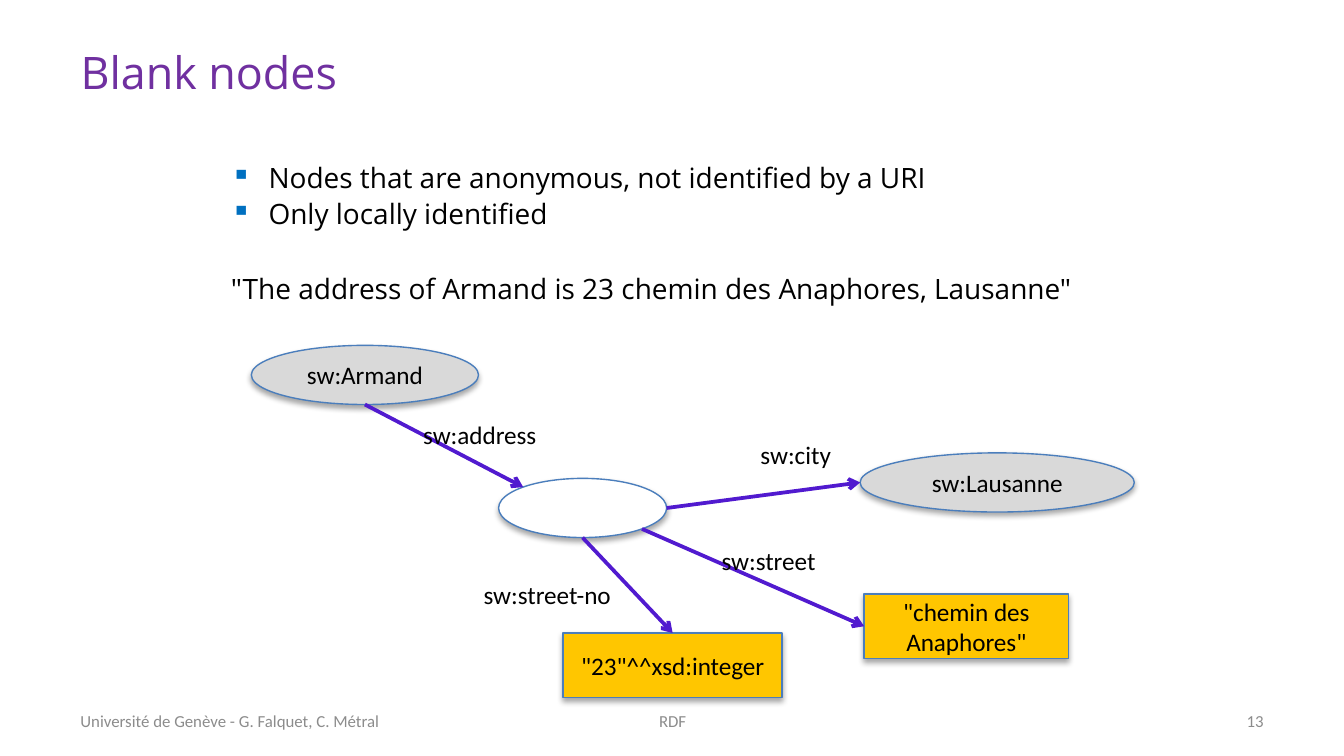
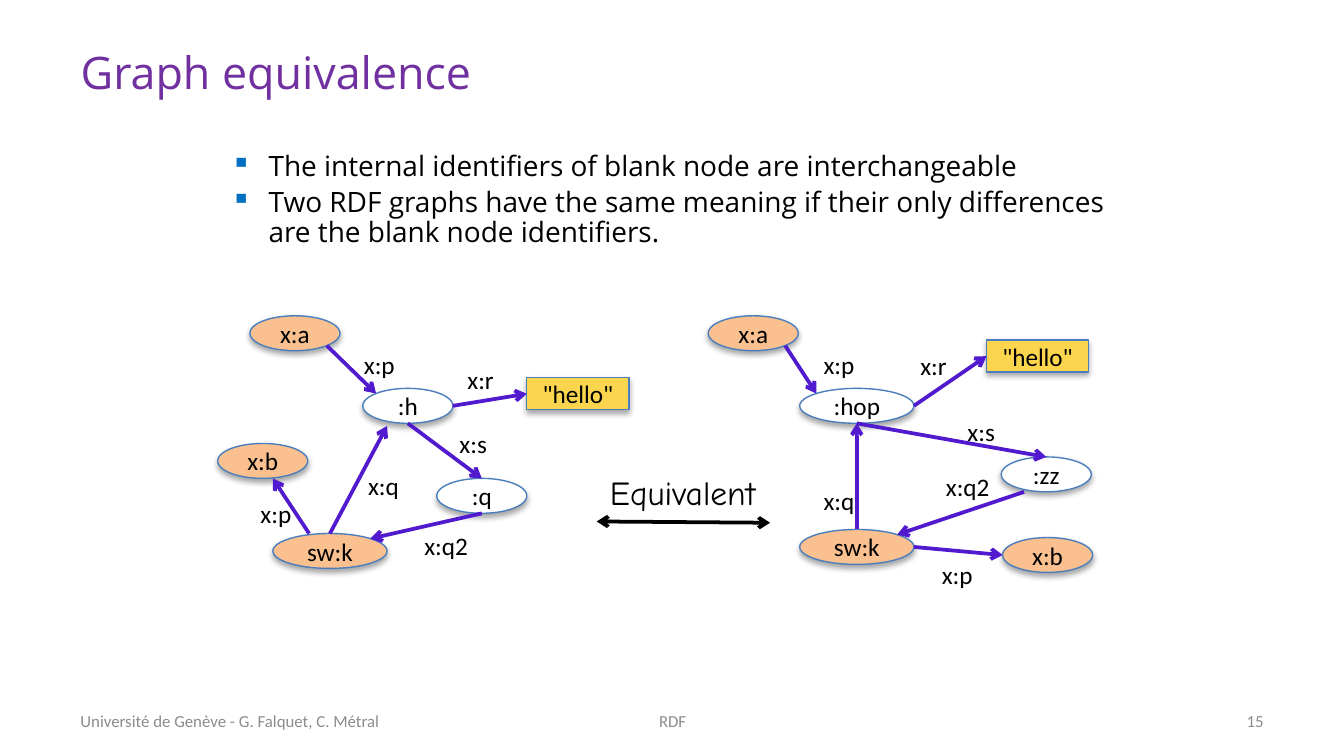
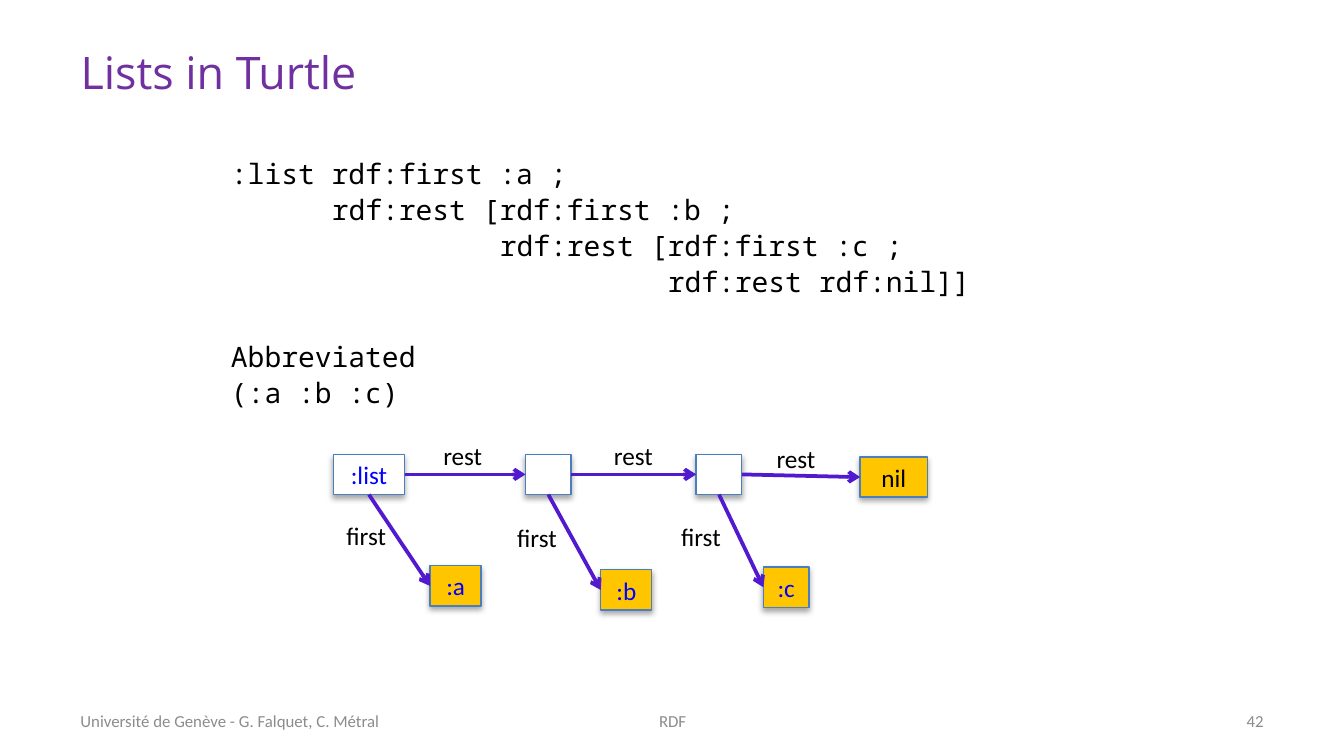
from dataclasses import dataclass
from math import sqrt

from lxml.etree import SubElement
from pptx import Presentation
from pptx.dml.color import RGBColor
from pptx.enum.shapes import MSO_CONNECTOR as Connector, MSO_SHAPE as Preset
from pptx.enum.text import MSO_ANCHOR as Anchor, MSO_AUTO_SIZE as AutoSize, PP_ALIGN as Align
from pptx.oxml.ns import qn
from pptx.util import Inches, Pt


@dataclass(frozen=True)
class Theme:
    # Colours
    title: str = "7030A0"
    ink: str = "000000"
    footer: str = "8C8C8C"
    bullet: str = "0070C0"
    outline: str = "4B7EBC"
    edge: str = "511ACF"
    white: str = "FFFFFF"
    grey: str = "D9D9D9"
    peach: str = "FAC090"
    yellow: str = "FBD54D"
    gold: str = "FFC600"
    blue: str = "0000FF"
    # Fonts
    text_font: str = "Open Sans"
    code_font: str = "Noto Sans Mono"
    graph_font: str = "Calibri"
    hand_font: str = "Comic Neue"
    # Type sizes in points
    title_size: float = 24
    body_size: float = 15
    graph_size: float = 13.5
    hand_size: float = 18
    footer_size: float = 9


THEME = Theme()

# The slide is a grid of square cells
COLUMNS, ROWS = 100, 56.25
CELL = Inches(0.1)
CODE_CHARACTER = Pt(9)
BULLET_INDENT = Inches(0.28)
LINE_GAP, BLOCK_GAP = 3, 24

# Attachment sites: share of width, share of height, index on an ellipse, on a rectangle
NEAR, FAR = 0.5 - sqrt(0.5) / 2, 0.5 + sqrt(0.5) / 2
SITES = {
    "top": (0.5, 0, 0, 0),
    "top left": (NEAR, NEAR, 1, None),
    "left": (0, 0.5, 2, 1),
    "bottom": (0.5, 1, 4, 2),
    "bottom right": (FAR, FAR, 5, None),
    "right": (1, 0.5, 6, 3),
    "top right": (FAR, NEAR, 7, None),
}


def cells(*counts):
    return [round(count * CELL) for count in counts]


def color(value):
    return RGBColor.from_string(value)


def put_text(frame, text, *, size, font, ink=THEME.ink, align=Align.LEFT, anchor=Anchor.MIDDLE,
             wrap=True, before=0, spacing=None, indent=0, bullet=None):
    """Fill the frame's first paragraph, or add one to a frame that has text."""
    frame.word_wrap = wrap
    frame.vertical_anchor = anchor
    paragraph = frame.add_paragraph() if frame.text else frame.paragraphs[0]
    paragraph.alignment = align
    paragraph.space_before = Pt(before)
    if spacing:
        paragraph.line_spacing = spacing
    run = paragraph.add_run()
    run.text = text
    run.font.size, run.font.name = Pt(size), font
    run.font.color.rgb = color(ink)

    properties = paragraph._p.get_or_add_pPr()
    properties.set("marL", str(int(indent)))
    properties.set("indent", str(-int(indent) if bullet else 0))
    if bullet:
        bullet_color = SubElement(properties, qn("a:buClr"))
        SubElement(bullet_color, qn("a:srgbClr"), val=THEME.bullet)
        SubElement(properties, qn("a:buChar"), char=bullet)


# Slide frame: title, body and footer
def add_slide(presentation, title, number):
    slide = presentation.slides.add_slide(presentation.slide_layouts[5])
    shape = slide.shapes.title
    shape.left, shape.top, shape.width, shape.height = cells(5, 2.3, 90, 6)
    put_text(shape.text_frame, title, size=THEME.title_size, font=THEME.text_font, ink=THEME.title)

    footers = (
        (5, 29.2, "Université de Genève - G. Falquet, C. Métral", Align.LEFT),
        (34.2, 31.7, "RDF", Align.CENTER),
        (71.7, 23.3, str(number), Align.RIGHT),
    )
    for left, width, text, align in footers:
        box = slide.shapes.add_textbox(*cells(left, 52.1, width, 3))
        put_text(box.text_frame, text, size=THEME.footer_size, font=THEME.graph_font,
                 ink=THEME.footer, align=align)
    return slide


def add_body(slide, height, lines, font=THEME.text_font):
    """Each line is a text and the format that sets it apart."""
    box = slide.shapes.add_textbox(*cells(16.2, 10.2, 67.5, height))
    for text, options in lines:
        put_text(box.text_frame, text, size=THEME.body_size, font=font,
                 **{"before": LINE_GAP, "spacing": 0.9, **options})


# Graph parts: nodes, edges and labels
def add_node(slide, text, left, top, width, height, fill=THEME.white,
             preset=Preset.OVAL, ink=THEME.ink):
    shape = slide.shapes.add_shape(preset, *cells(left, top, width, height))
    shape.fill.solid()
    shape.fill.fore_color.rgb = color(fill)
    shape.line.color.rgb = color(THEME.outline)
    shape.line.width = Pt(0.75)

    shape.shadow.inherit = False
    effects = shape._element.spPr.find(qn("a:effectLst"))
    shadow = SubElement(effects, qn("a:outerShdw"), blurRad=str(Pt(3.1)), dist=str(Pt(1.8)),
                        dir="5400000", rotWithShape="0")
    shade = SubElement(shadow, qn("a:srgbClr"), val=THEME.ink)
    SubElement(shade, qn("a:alpha"), val="35000")

    if text:
        frame = shape.text_frame
        frame.margin_left = frame.margin_right = frame.margin_top = frame.margin_bottom = 0
        put_text(frame, text, size=THEME.graph_size, font=THEME.graph_font,
                 ink=ink, align=Align.CENTER)
    return shape


def locate(end):
    """Return the position of an end, and the shape and site index it is glued to."""
    place, site = end
    if not isinstance(site, str):
        return cells(place, site), None
    across, down, oval_index, box_index = SITES[site]
    position = [round(place.left + across * place.width), round(place.top + down * place.height)]
    index = oval_index if place.auto_shape_type == Preset.OVAL else box_index
    return position, (place.shape_id, index)


def add_arrow(slide, start, end, ink=THEME.edge, double=False):
    """Each end is a node and a site, or a column and a row."""
    (begin, begin_glue), (finish, end_glue) = locate(start), locate(end)
    connector = slide.shapes.add_connector(Connector.STRAIGHT, *begin, *finish)
    connector.line.color.rgb = color(ink)
    connector.line.width = Pt(2)
    line = connector.line._get_or_add_ln()
    if double:
        SubElement(line, qn("a:headEnd"), type="arrow")
    SubElement(line, qn("a:tailEnd"), type="arrow")
    SubElement(connector._element.spPr, qn("a:effectLst"))

    joints = connector._element.nvCxnSpPr.cNvCxnSpPr
    for tag, glue in (("a:stCxn", begin_glue), ("a:endCxn", end_glue)):
        if glue:
            SubElement(joints, qn(tag), id=str(glue[0]), idx=str(glue[1]))


def add_label(slide, text, left, top, width, height=3.3,
              size=THEME.graph_size, font=THEME.graph_font):
    box = slide.shapes.add_textbox(*cells(left, top, width, height))
    put_text(box.text_frame, text, size=size, font=font, anchor=Anchor.TOP, wrap=False)
    box.text_frame.auto_size = AutoSize.SHAPE_TO_FIT_TEXT


def add_edges(slide, edges):
    for start, end in edges:
        add_arrow(slide, start, end)


def add_labels(slide, labels):
    for label in labels:
        add_label(slide, *label)


# Slides
BULLET = {"bullet": "▪", "indent": BULLET_INDENT}


def build_blank_nodes(presentation):
    slide = add_slide(presentation, "Blank nodes", 13)
    add_body(slide, 14.6, [
        ("Nodes that are anonymous, not identified by a URI", BULLET),
        ("Only locally identified", BULLET),
        ('"The address of Armand is 23 chemin des Anaphores, Lausanne"', {"before": BLOCK_GAP}),
    ])

    armand = add_node(slide, "sw:Armand", 18.7, 25.7, 16.9, 4.4, THEME.grey)
    address = add_node(slide, "", 37.1, 35.6, 12.5, 4.4)
    lausanne = add_node(slide, "sw:Lausanne", 64, 33.7, 20.4, 4.4, THEME.grey)
    street = add_node(slide, '"chemin des Anaphores"', 64.3, 44.2, 15.2, 4.8,
                      THEME.gold, Preset.RECTANGLE)
    number = add_node(slide, '"23"^^xsd:integer', 41.9, 47.1, 16.3, 4.8,
                      THEME.gold, Preset.RECTANGLE)
    add_edges(slide, [
        ((armand, "bottom"), (address, "top left")),
        ((address, "right"), (lausanne, "left")),
        ((address, "bottom right"), (street, "left")),
        ((address, "bottom"), (number, "top")),
    ])
    add_labels(slide, [
        ("sw:address", 30.5, 30.7, 10.6),
        ("sw:street", 52.7, 40.1, 9.1),
        ("sw:street-no", 35, 42.6, 11.6),
        ("sw:city", 55.6, 32.2, 7.3),
    ])


def add_oval(slide, text, left, top, fill=THEME.white):
    width = 8.5 if len(text) > 3 else 6.7
    return add_node(slide, text, left, top, width, 2.6, fill)


def add_hello(slide, left, top):
    return add_node(slide, '"hello"', left, top, 7.6, 2.4, THEME.yellow, Preset.RECTANGLE)


def build_graph_equivalence(presentation):
    slide = add_slide(presentation, "Graph equivalence", 15)
    add_body(slide, 9.4, [
        ("The internal identifiers of blank node are interchangeable", BULLET),
        ("Two RDF graphs have the same meaning if their only differences "
         "are the blank node identifiers.", BULLET),
    ])

    # Left graph
    a = add_oval(slide, "x:a", 18.6, 23.5, THEME.peach)
    h = add_oval(slide, ":h", 27, 28.9)
    add_oval(slide, "x:b", 16.2, 33, THEME.peach)
    q = add_oval(slide, ":q", 32.5, 35.6)
    k = add_oval(slide, "sw:k", 20.3, 39.7, THEME.peach)
    hello = add_hello(slide, 39.2, 28.1)
    add_edges(slide, [
        ((a, "bottom right"), (h, "top left")),
        ((h, "bottom"), (q, "top")),
        ((h, "right"), (hello, "left")),
        ((k, "top"), (28.8, 31.7)),
        ((23, 39.7), (20.3, 35.6)),
        ((q, "bottom"), (k, "top right")),
    ])
    add_labels(slide, [
        ("x:p", 26.1, 25.5, 4.4), ("x:r", 33.8, 26.6, 4), ("x:q", 26.4, 34.5, 4.4),
        ("x:s", 33.2, 31.4, 4.1), ("x:p", 18.4, 36.6, 4.4), ("x:q2", 30.6, 39, 5.3),
    ])

    # Right graph
    a = add_oval(slide, "x:a", 52.7, 23.5, THEME.peach)
    hop = add_oval(slide, ":hop", 59.5, 28.9)
    b = add_oval(slide, "x:b", 74.6, 40, THEME.peach)
    zz = add_oval(slide, ":zz", 74.5, 34)
    k = add_oval(slide, "sw:k", 59.5, 39.4, THEME.peach)
    hello = add_hello(slide, 73.4, 25.3)
    add_edges(slide, [
        ((a, "bottom right"), (hop, "top left")),
        ((hop, "bottom"), (zz, "top")),
        ((hop, "right"), (hello, "left")),
        ((k, "top"), (hop, "bottom")),
        ((k, "right"), (b, "left")),
        ((76.2, 36.6), (k, "top right")),
    ])
    add_labels(slide, [
        ("x:p", 60.3, 25.5, 4.4), ("x:r", 67.5, 25.6, 4), ("x:q", 60.3, 35.6, 4.4),
        ("x:s", 71, 30.5, 4.1), ("x:p", 69.1, 41.1, 4.4), ("x:q2", 69.4, 34.6, 5.3),
    ])

    # Link between the graphs
    add_label(slide, "Equivalent", 44.4, 34.6, 13.3, 4, THEME.hand_size, THEME.hand_font)
    add_arrow(slide, (44.4, 38.8), (57.3, 38.9), THEME.ink, double=True)


def build_lists(presentation):
    slide = add_slide(presentation, "Lists in Turtle", 42)
    add_body(slide, 22, [
        (":list rdf:first :a ;", {}),
        ("rdf:rest [rdf:first :b ;", {"indent": 6 * CODE_CHARACTER}),
        ("rdf:rest [rdf:first :c ;", {"indent": 16 * CODE_CHARACTER}),
        ("rdf:rest rdf:nil]]", {"indent": 26 * CODE_CHARACTER}),
        ("Abbreviated", {"before": BLOCK_GAP}),
        ("(:a :b :c)", {}),
    ], THEME.code_font)

    def add_box(text, left, top, width, fill=THEME.white, ink=THEME.blue):
        return add_node(slide, text, left, top, width, 3, fill, Preset.RECTANGLE, ink)

    links = [
        add_box(":list", 24.8, 33.8, 5.3),
        add_box("", 39.1, 33.8, 3.4),
        add_box("", 51.8, 33.8, 3.4),
        add_box("nil", 64, 34, 5, THEME.gold, THEME.ink),
    ]
    items = [
        add_box(":a", 32, 42.1, 3.8, THEME.gold),
        add_box(":b", 44.7, 42.4, 3.8, THEME.gold),
        add_box(":c", 56.8, 42.2, 3.4, THEME.gold),
    ]
    add_edges(slide, [((link, "right"), (rest, "left")) for link, rest in zip(links, links[1:])])
    add_edges(slide, [((link, "bottom"), (item, "left")) for link, item in zip(links, items)])
    add_labels(slide, [
        ("rest", 32, 32.3, 5), ("rest", 44.7, 32.3, 5), ("rest", 56.8, 32.5, 5),
        ("first", 24.8, 38.2, 5), ("first", 37.5, 38.4, 5), ("first", 49.7, 38.3, 5),
    ])


def main():
    presentation = Presentation()
    presentation.slide_width, presentation.slide_height = cells(COLUMNS, ROWS)
    build_blank_nodes(presentation)
    build_graph_equivalence(presentation)
    build_lists(presentation)
    presentation.save("out.pptx")


if __name__ == "__main__":
    main()
